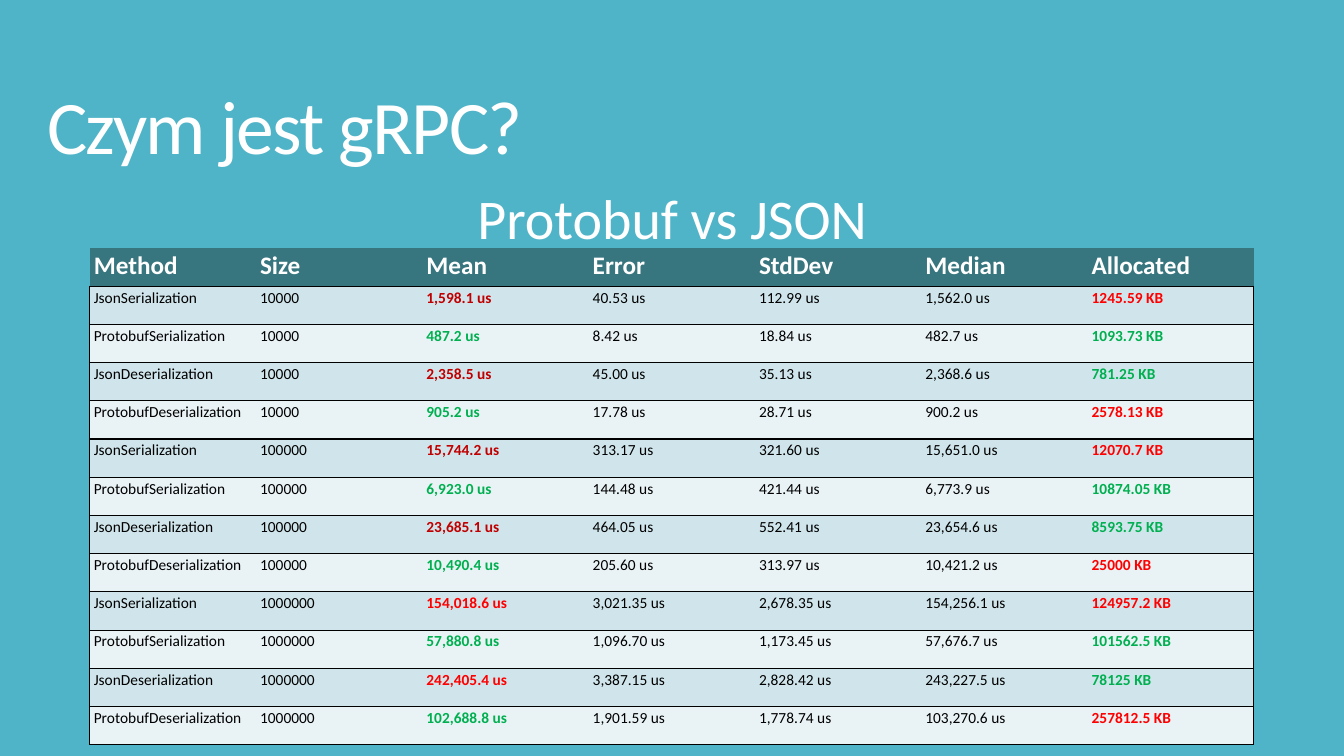
from lxml.etree import SubElement
from pptx import Presentation
from pptx.dml.color import RGBColor
from pptx.enum.text import MSO_ANCHOR, MSO_AUTO_SIZE, PP_ALIGN
from pptx.oxml.ns import qn
from pptx.util import Pt

# Content
TITLE = "Czym jest gRPC?"
SUBTITLE = "Protobuf vs JSON"
HEADER = ("Method", "Size", "Mean", "Error", "StdDev", "Median", "Allocated")
METHODS = ("JsonSerialization", "ProtobufSerialization",
           "JsonDeserialization", "ProtobufDeserialization")
SIZES = ("10000", "100000", "1000000")
# Mean, error, standard deviation and median in us, allocated in KB;
# one row per method within each size
RESULTS = [
    ("1,598.1", "40.53", "112.99", "1,562.0", "1245.59"),
    ("487.2", "8.42", "18.84", "482.7", "1093.73"),
    ("2,358.5", "45.00", "35.13", "2,368.6", "781.25"),
    ("905.2", "17.78", "28.71", "900.2", "2578.13"),
    ("15,744.2", "313.17", "321.60", "15,651.0", "12070.7"),
    ("6,923.0", "144.48", "421.44", "6,773.9", "10874.05"),
    ("23,685.1", "464.05", "552.41", "23,654.6", "8593.75"),
    ("10,490.4", "205.60", "313.97", "10,421.2", "25000"),
    ("154,018.6", "3,021.35", "2,678.35", "154,256.1", "124957.2"),
    ("57,880.8", "1,096.70", "1,173.45", "57,676.7", "101562.5"),
    ("242,405.4", "3,387.15", "2,828.42", "243,227.5", "78125"),
    ("102,688.8", "1,901.59", "1,778.74", "103,270.6", "257812.5"),
]
UNITS = ("us", "us", "us", "us", "KB")

# Look
FONT = "Calibri"
TEAL, HEAD, BAND, PALE = "50B4C8", "37757F", "D0E5EB", "E9F2F5"
WHITE, BLACK = "FFFFFF", "000000"
RED, DARK_RED, GREEN = "FF0000", "C00000", "00B050"
NO_STYLE = "{2D5ABB26-0587-4C30-8999-92F81FD0307C}"

# Layout in points
TABLE_LEFT, TABLE_TOP, COL_W, ROW_H = 64, 177.1, 118.8, 27.3
MEAN, ALLOCATED = 2, 6


def rgb(value):
    return RGBColor.from_string(value)


def write(tf, text, size, color, bold=False, align=PP_ALIGN.LEFT, line=None, track=None):
    p = tf.paragraphs[0]
    p.alignment = align
    if line:
        p.line_spacing = line
    r = p.add_run()
    r.text = text
    r.font.name, r.font.size, r.font.bold = FONT, Pt(size), bold
    r.font.color.rgb = rgb(color)
    if track:
        r.font._element.set("spc", str(track))


def add_border(cell, side):
    ln = SubElement(cell._tc.get_or_add_tcPr(), qn(f"a:ln{side}"), w=str(Pt(1)))
    SubElement(SubElement(ln, qn("a:solidFill")), qn("a:srgbClr"), val=BLACK)


def cell_color(i, col):
    """Text colour: the better of each Json/Protobuf pair is green."""
    size, method = divmod(i, len(METHODS))
    if col == MEAN:
        if method % 2:
            return GREEN
        return RED if size == len(SIZES) - 1 else DARK_RED
    if col == ALLOCATED:
        return RED if method in (0, 3) else GREEN
    return BLACK


def cell_sides(i, col):
    """Each Json/Protobuf pair is boxed, with sides at the table's edges."""
    first, last = col == 0, col == len(HEADER) - 1
    top = i % 2 == 0
    bottom = i == len(RESULTS) - 1 or (not top and (first or last))
    return [s for s, on in zip("LRTB", (first, last, top, bottom)) if on]


def fill_cell(cell, text, size, color, bold, fill, sides=()):
    cell.margin_left = cell.margin_right = Pt(3)
    cell.margin_top = cell.margin_bottom = Pt(1.5)
    write(cell.text_frame, text, size, color, bold)
    for side in sides:
        add_border(cell, side)
    cell.fill.solid()
    cell.fill.fore_color.rgb = rgb(fill)


# Slide
prs = Presentation()
prs.slide_width, prs.slide_height = Pt(960), Pt(540)
s = prs.slides.add_slide(prs.slide_layouts[5])
s.background.fill.solid()
s.background.fill.fore_color.rgb = rgb(TEAL)

# Title
sp = s.shapes.title
sp.left, sp.top, sp.width, sp.height = Pt(26.6), Pt(28.8), Pt(848.2), Pt(130.3)
tf = sp.text_frame
tf.auto_size, tf.vertical_anchor = MSO_AUTO_SIZE.NONE, MSO_ANCHOR.MIDDLE
write(tf, TITLE, 54, WHITE, line=0.85, track=-120)

# Subtitle
tf = s.shapes.add_textbox(Pt(253.4), Pt(127.4), Pt(453.6), Pt(55.4)).text_frame
tf.word_wrap, tf.auto_size = True, MSO_AUTO_SIZE.SHAPE_TO_FIT_TEXT
write(tf, SUBTITLE, 40, WHITE, align=PP_ALIGN.CENTER)

# Results table
rows, cols = len(RESULTS) + 1, len(HEADER)
table = s.shapes.add_table(rows, cols, Pt(TABLE_LEFT), Pt(TABLE_TOP),
                           Pt(cols * COL_W), Pt(rows * ROW_H)).table
table._tbl.tblPr.find(qn("a:tableStyleId")).text = NO_STYLE
for column in table.columns:
    column.width = Pt(COL_W)
for row in table.rows:
    row.height = Pt(ROW_H)

for col, name in enumerate(HEADER):
    fill_cell(table.cell(0, col), name, 18, WHITE, True, HEAD)
for i, values in enumerate(RESULTS):
    size, method = divmod(i, len(METHODS))
    texts = [METHODS[method], SIZES[size]]
    texts += [f"{value} {unit}" for value, unit in zip(values, UNITS)]
    for col, text in enumerate(texts):
        fill_cell(table.cell(i + 1, col), text, 11, cell_color(i, col),
                  col in (MEAN, ALLOCATED), PALE if i % 2 else BAND, cell_sides(i, col))

prs.save("out.pptx")
